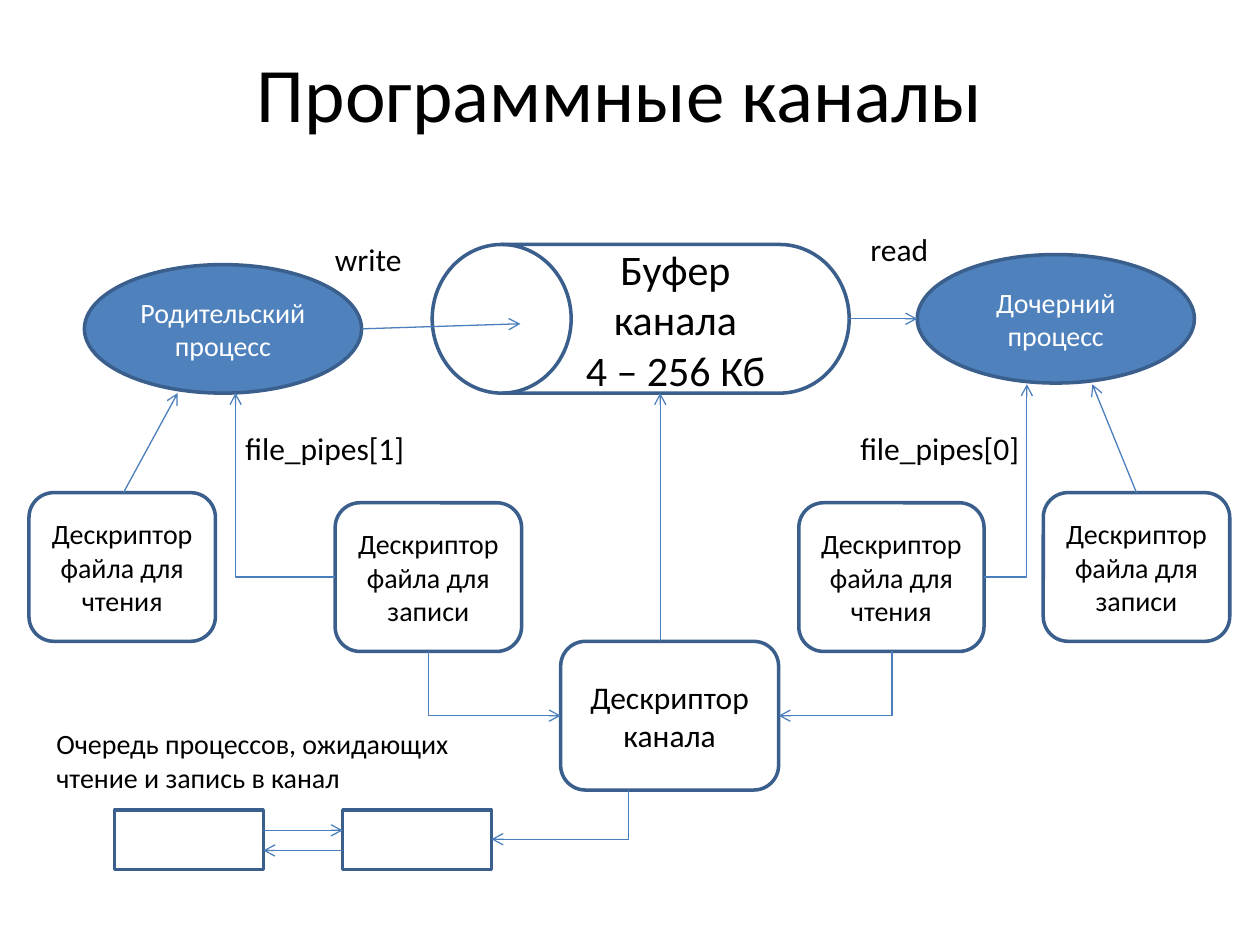
"""Build the slide on program pipes between a parent and a child process."""
from lxml import etree
from pptx import Presentation
from pptx import util as u
from pptx.dml.color import RGBColor
from pptx.enum import shapes, text
from pptx.oxml.ns import qn

BLACK = RGBColor(0x00, 0x00, 0x00)
WHITE = RGBColor(0xFF, 0xFF, 0xFF)
BLUE = RGBColor(0x4F, 0x81, 0xBD)
BORDER = RGBColor(0x3A, 0x5F, 0x8C)
ARROW = RGBColor(0x4B, 0x7E, 0xBC)

TITLE = ("Программные каналы", (0.67, 0.29, 8.5, 0.87))
READER = "Дескриптор файла для чтения"
WRITER = "Дескриптор файла для записи"

BUFFER = ("Буфер канала\n4 – 256 Кб", (3.43, 1.94, 3.31, 1.18), 24)
PROCESSES = [("Родительский процесс", (0.67, 2.1, 2.2, 1.02), 16),
             ("Дочерний процесс", (7.28, 2.02, 2.2, 1.02), 16)]
DESCRIPTORS = [(WRITER, (2.66, 3.99, 1.48, 1.18), 16),
               (READER, (6.34, 3.99, 1.47, 1.18), 16),
               ("Дескриптор канала", (4.45, 5.09, 1.73, 1.18), 18),
               (READER, (0.23, 3.91, 1.48, 1.18), 16),
               (WRITER, (8.28, 3.91, 1.48, 1.18), 16)]
QUEUE = [("", (left, 6.43, 1.18, 0.47), 16) for left in (0.91, 2.72)]
LABELS = [("file_pipes[1]", (1.85, 3.36, 1.57, 0.4), 18),
          ("file_pipes[0]", (6.73, 3.36, 1.57, 0.4), 18),
          ("write", (2.56, 1.86, 1.02, 0.4), 18),
          ("read", (6.81, 1.78, 0.71, 0.4), 18),
          ("Очередь процессов, ожидающих чтение и запись в канал",
           (0.35, 5.72, 3.54, 0.64), 16)]

STRAIGHT = [((2.87, 2.61), (4.13, 2.57)), ((6.73, 2.53), (7.28, 2.53)),
            ((5.24, 5.09), (5.24, 3.12)), ((2.72, 6.75), (2.09, 6.75)),
            ((2.09, 6.59), (2.72, 6.59)), ((0.98, 3.91), (1.41, 3.12)),
            ((9.02, 3.91), (8.67, 3.05))]
SIDEWAYS_THEN_UP = [((2.66, 4.58), (1.87, 3.12)), ((7.81, 4.58), (8.15, 3.05))]
DOWN_THEN_SIDEWAYS = [((3.4, 5.17), (4.45, 5.68)), ((7.08, 5.17), (6.18, 5.68)),
                      ((4.99, 6.27), (3.9, 6.66))]


def apply(target, values):
    for key, value in values.items():
        setattr(target, key, value)


def inches(numbers):
    return [u.Inches(number) for number in numbers]


def write(frame, words, size, color, align):
    frame.word_wrap = True
    frame.text = words
    for paragraph in frame.paragraphs:
        paragraph.alignment = align
        apply(paragraph.font, {"name": "Calibri", "size": u.Pt(size)})
        paragraph.font.color.rgb = color


def add_node(slide, outline, node, fill=WHITE, ink=BLACK):
    words, box, size = node
    block = slide.shapes.add_shape(outline, *inches(box))
    block.shadow.inherit = False
    block.fill.solid()
    block.fill.fore_color.rgb = fill
    block.line.color.rgb = BORDER
    block.line.width = u.Pt(2)
    if words:
        write(block.text_frame, words, size, ink, text.PP_ALIGN.CENTER)
        block.text_frame.vertical_anchor = text.MSO_ANCHOR.MIDDLE
    return block


def add_arrow(slide, start, end, bent=False):
    kind = shapes.MSO_CONNECTOR.ELBOW if bent else shapes.MSO_CONNECTOR.STRAIGHT
    arrow = slide.shapes.add_connector(kind, *inches(start + end))
    arrow.line.color.rgb = ARROW
    arrow.line.width = u.Pt(0.75)
    properties = arrow._element.spPr
    etree.SubElement(properties.find(qn("a:ln")), qn("a:tailEnd"), type="arrow")
    etree.SubElement(properties, qn("a:effectLst"))
    if bent:
        properties.find(qn("a:prstGeom")).set("prst", "bentConnector2")
    return arrow


def add_falling_arrow(slide, start, end):
    """Turn a one-corner connector so that its first leg runs downwards."""
    (x1, y1), (x2, y2) = start, end
    rightward = x2 > x1
    mid_x, mid_y = (x1 + x2) / 2, (y1 + y2) / 2
    half_w, half_h = (y2 - y1) / 2, abs(x2 - x1) / 2
    near, far = mid_x - half_w, mid_x + half_w
    if rightward:
        near, far = far, near
    arrow = add_arrow(slide, (near, mid_y - half_h), (far, mid_y + half_h), bent=True)
    degrees = 270 if rightward else 90
    arrow._element.spPr.find(qn("a:xfrm")).set("rot", str(degrees * 60000))


def main():
    deck = Presentation()
    apply(deck, {"slide_width": u.Inches(10), "slide_height": u.Inches(7.5)})
    slide = deck.slides.add_slide(deck.slide_layouts[0])
    subtitle = slide.placeholders[1]._element
    subtitle.getparent().remove(subtitle)

    heading, box = TITLE
    title = slide.shapes.title
    apply(title, dict(zip(("left", "top", "width", "height"), inches(box))))
    write(title.text_frame, heading, 44, BLACK, text.PP_ALIGN.CENTER)
    title.text_frame.vertical_anchor = text.MSO_ANCHOR.MIDDLE

    outline = shapes.MSO_SHAPE
    drum = add_node(slide, outline.FLOWCHART_DIRECT_ACCESS_STORAGE, BUFFER)
    drum._element.spPr.find(qn("a:xfrm")).set("flipH", "1")
    for process in PROCESSES:
        add_node(slide, outline.OVAL, process, BLUE, WHITE)
    for descriptor in DESCRIPTORS:
        add_node(slide, outline.ROUNDED_RECTANGLE, descriptor)
    for waiting in QUEUE:
        add_node(slide, outline.RECTANGLE, waiting)

    for start, end in STRAIGHT:
        add_arrow(slide, start, end)
    for start, end in SIDEWAYS_THEN_UP:
        add_arrow(slide, start, end, bent=True)
    for start, end in DOWN_THEN_SIDEWAYS:
        add_falling_arrow(slide, start, end)

    for words, box, size in LABELS:
        label = slide.shapes.add_textbox(*inches(box))
        write(label.text_frame, words, size, BLACK, text.PP_ALIGN.LEFT)

    deck.save("out.pptx")


if __name__ == "__main__":
    main()
